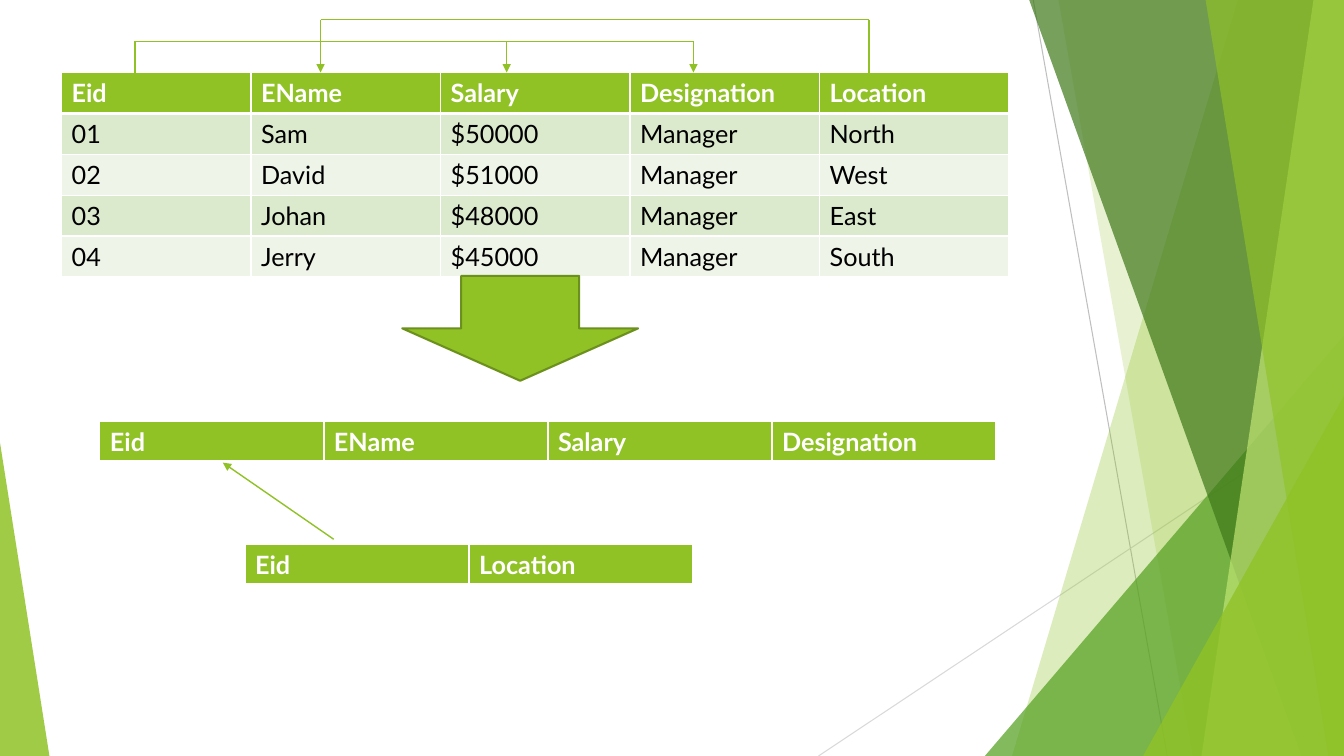
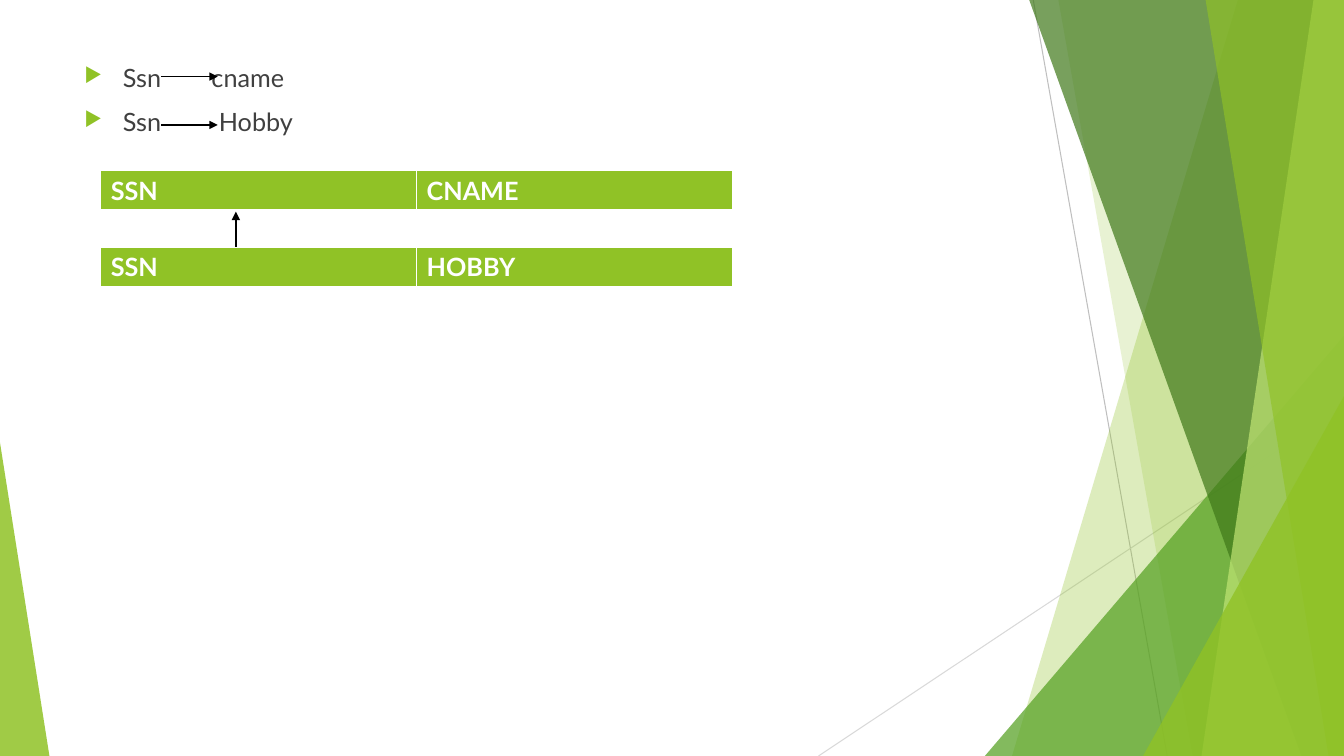
from lxml import etree
from pptx import Presentation
from pptx import util as u
from pptx.dml.color import RGBColor
from pptx.enum import shapes, text
from pptx.oxml.ns import qn

SLIDE_WIDTH, SLIDE_HEIGHT = u.Inches(13.33), u.Inches(7.5)
FONT, TEXT_SIZE = "Lato", u.Pt(18)

LIME = RGBColor(0x90, 0xC2, 0x26)
PALE_LIME = RGBColor(0xC0, 0xE4, 0x74)
GREEN = RGBColor(0x54, 0xA0, 0x21)
FOREST = RGBColor(0x3F, 0x78, 0x19)
OLIVE = RGBColor(0x6B, 0x90, 0x1C)
ROW_TINTS = (RGBColor(0xDB, 0xE9, 0xCD), RGBColor(0xEE, 0xF4, 0xE8))
WHITE = RGBColor(0xFF, 0xFF, 0xFF)
BLACK = RGBColor(0, 0, 0)
CHARCOAL = RGBColor(0x40, 0x40, 0x40)
GRAY = RGBColor(0xBF, 0xBF, 0xBF)
LIGHT_GRAY = RGBColor(0xD9, 0xD9, 0xD9)

ROW_HEIGHT = 5.41
TABLE_TOP = 9.6


def across(percent):
    """Length as a percentage of the slide width."""
    return u.Emu(round(SLIDE_WIDTH * percent / 100))


def down(percent):
    """Length as a percentage of the slide height."""
    return u.Emu(round(SLIDE_HEIGHT * percent / 100))


def add_child(parent, tag, **attributes):
    child = etree.SubElement(parent, qn(tag))
    for name, value in attributes.items():
        child.set(name, str(value))
    return child


def add_run(paragraph, words, color, bold=False):
    run = paragraph.add_run()
    run.text = words
    run.font.name, run.font.size, run.font.bold = FONT, TEXT_SIZE, bold
    run.font.color.rgb = color


def add_line(slide, start, end, color=LIME, width=1, arrow=False):
    """Straight line between two (across, down) points."""
    line = slide.shapes.add_connector(
        shapes.MSO_CONNECTOR.STRAIGHT,
        across(start[0]), down(start[1]), across(end[0]), down(end[1]))
    line.line.color.rgb = color
    line.line.width = u.Pt(width)
    properties = line.element.spPr
    if arrow:
        add_child(properties.find(qn("a:ln")), "a:tailEnd", type="triangle")
    add_child(properties, "a:effectLst")


def paint(shape, color, opacity=100):
    shape.shadow.inherit = False
    shape.line.fill.background()
    shape.fill.solid()
    shape.fill.fore_color.rgb = color
    if opacity < 100:
        fill_color = shape.element.spPr.find(qn("a:solidFill"))[0]
        add_child(fill_color, "a:alpha", val=opacity * 1000)


def add_band(slide, top_x, bottom_x, color, opacity):
    """Full-height band from a slanted edge to the right side of the slide."""
    outline = slide.shapes.build_freeform(across(top_x), 0)
    corners = [(100, 0), (100, 100), (bottom_x, 100)]
    outline.add_line_segments([(across(x), down(y)) for x, y in corners])
    paint(outline.convert_to_shape(), color, opacity)


def add_corner(slide, left, top, right, peak, color, opacity):
    """Triangle standing on the bottom edge; peak 0 is left, 1 is right."""
    triangle = slide.shapes.add_shape(
        shapes.MSO_SHAPE.ISOSCELES_TRIANGLE,
        across(left), down(top), across(right - left), down(100 - top))
    triangle.adjustments[0] = peak
    paint(triangle, color, opacity)


def add_backdrop(slide):
    """Draw the shared decoration and move it to the slide's layout."""
    add_line(slide, (76.88, 0), (86.85, 100), GRAY, 0.75)
    add_line(slide, (100, 53.73), (60.9, 100), LIGHT_GRAY, 0.75)
    add_band(slide, 92.1, 75.3, LIME, 30)
    add_band(slide, 78.75, 88.73, LIME, 20)
    add_corner(slide, 73.28, 44.4, 100, 1, GREEN, 72)
    add_band(slide, 76.58, 96.83, FOREST, 70)
    add_band(slide, 97.73, 89.4, PALE_LIME, 70)
    add_band(slide, 89.7, 98.85, LIME, 65)
    add_corner(slide, 85.05, 52.4, 100, 1, LIME, 80)
    add_corner(slide, 0, 58.53, 3.68, 0, LIME, 85)
    layout_tree = slide.slide_layout.element.cSld.spTree
    for shape in list(slide.shapes):
        layout_tree.append(shape.element)


def add_cell_borders(cell, is_header):
    widths = {"a:lnL": 1, "a:lnR": 1}
    if is_header:
        widths["a:lnT"] = 1
    widths["a:lnB"] = 3 if is_header else 1
    properties = cell._tc.get_or_add_tcPr()
    for tag, width in widths.items():
        border = add_child(properties, tag, w=u.Pt(width))
        fill = add_child(border, "a:solidFill")
        add_child(fill, "a:srgbClr", val=WHITE)


def add_grid(slide, left, top, column_width, rows):
    """Table whose first row is the header."""
    columns = len(rows[0])
    table = slide.shapes.add_table(
        len(rows), columns, across(left), down(top),
        across(column_width * columns), down(ROW_HEIGHT * len(rows))).table
    table.horz_banding = False
    for row_index, row in enumerate(rows):
        is_header = row_index == 0
        for column_index, words in enumerate(row):
            cell = table.cell(row_index, column_index)
            add_cell_borders(cell, is_header)
            cell.fill.solid()
            cell.fill.fore_color.rgb = (
                LIME if is_header else ROW_TINTS[(row_index - 1) % 2])
            add_run(cell.text_frame.paragraphs[0], words,
                    WHITE if is_header else BLACK, is_header)


def add_bullet(paragraph, determinant, dependent, tab_stop):
    """Bulleted pair of attributes, the second one at a tab stop."""
    paragraph.space_before = u.Pt(10)
    properties = paragraph._p.get_or_add_pPr()
    properties.set("marL", str(u.Inches(0.38)))
    properties.set("indent", str(-u.Inches(0.38)))
    add_child(add_child(properties, "a:buClr"), "a:srgbClr", val=LIME)
    add_child(properties, "a:buSzPct", val=80000)
    add_child(properties, "a:buChar", char="▶")
    tabs = add_child(properties, "a:tabLst")
    add_child(tabs, "a:tab", pos=across(tab_stop), algn="l")
    add_run(paragraph, f"{determinant}\t{dependent}", CHARCOAL)


def build_employee_slide(slide):
    add_grid(slide, 4.58, TABLE_TOP, 14.1, [
        ("Eid", "EName", "Salary", "Designation", "Location"),
        ("01", "Sam", "$50000", "Manager", "North"),
        ("02", "David", "$51000", "Manager", "West"),
        ("03", "Johan", "$48000", "Manager", "East"),
        ("04", "Jerry", "$45000", "Manager", "South"),
    ])
    low, high = 5.47, 2.6
    eid, name, salary, designation, location = 10.05, 23.85, 37.7, 51.6, 64.65
    add_line(slide, (eid, low), (designation, low))
    add_line(slide, (name, high), (location, high))
    for x, rail, arrow in [(eid, low, False), (name, high, True),
                           (salary, low, True), (designation, low, True),
                           (location, high, False)]:
        add_line(slide, (x, rail), (x, TABLE_TOP), arrow=arrow)

    block_arrow = slide.shapes.add_shape(
        shapes.MSO_SHAPE.DOWN_ARROW,
        across(29.93), down(36.5), across(17.55), down(13.87))
    paint(block_arrow, LIME)
    block_arrow.line.color.rgb = OLIVE
    block_arrow.line.width = u.Pt(1.5)

    add_grid(slide, 7.43, 55.73, 16.67,
             [("Eid", "EName", "Salary", "Designation")])
    add_grid(slide, 18.23, 72, 16.67, [("Eid", "Location")])
    add_line(slide, (24.83, 71.33), (16.58, 61.2), arrow=True)


def build_dependency_slide(slide):
    box = slide.shapes.add_textbox(
        across(5.55), down(7.6), across(70.5), down(80.4))
    frame = box.text_frame
    frame.word_wrap = True
    frame.vertical_anchor = text.MSO_ANCHOR.TOP
    add_bullet(frame.paragraphs[0], "Ssn", "cname", 9.45)
    add_bullet(frame.add_paragraph(), "Ssn", "Hobby", 10)
    for y in (10.13, 16.53):
        add_line(slide, (12, y), (16.2, y), BLACK, arrow=True)

    for top, attribute in [(22.53, "CNAME"), (32.67, "HOBBY")]:
        add_grid(slide, 7.5, top, 23.5, [("SSN", attribute)])
    add_line(slide, (17.55, 32.67), (17.55, 28), BLACK, arrow=True)


def main():
    presentation = Presentation()
    presentation.slide_width = SLIDE_WIDTH
    presentation.slide_height = SLIDE_HEIGHT
    blank = presentation.slide_layouts[6]
    employees = presentation.slides.add_slide(blank)
    add_backdrop(employees)
    build_employee_slide(employees)
    build_dependency_slide(presentation.slides.add_slide(blank))
    presentation.save("out.pptx")


if __name__ == "__main__":
    main()
